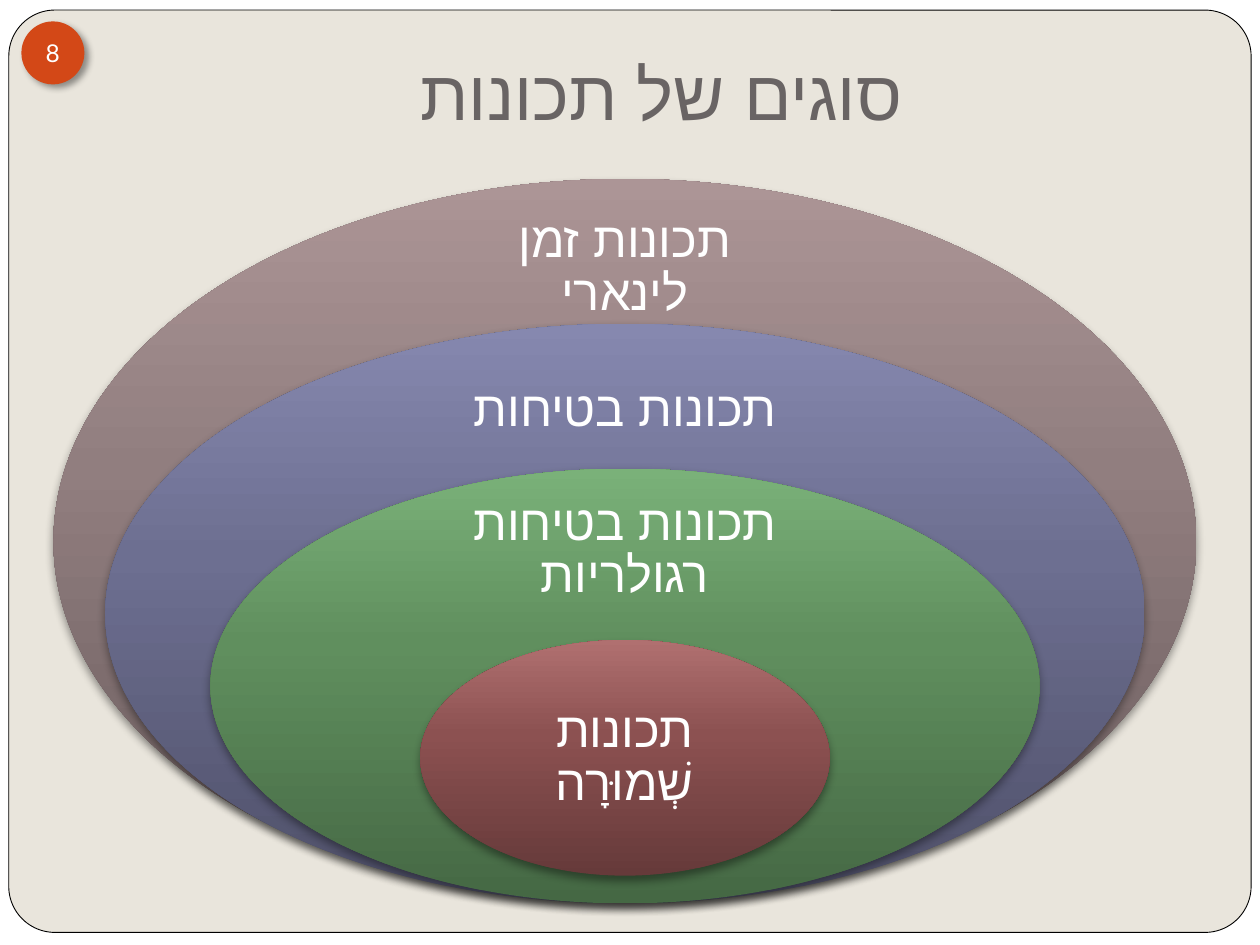
from lxml.etree import SubElement
from pptx import Presentation
from pptx.dml.color import RGBColor
from pptx.enum.shapes import MSO_SHAPE
from pptx.enum.text import MSO_ANCHOR, PP_ALIGN
from pptx.oxml.ns import qn
from pptx.util import Inches, Pt

WIDTH, HEIGHT = 10, 7.5
PAPER, WHITE, ORANGE, GREY = "E9E5DC", "FFFFFF", "D34817", "696464"
RING_CENTER = 4.96

# Ellipse width, top, height; gradient from bottom to top; label, its top, width, height
RINGS = [
    (9.07, 1.42, 5.75, ("695B5C", "917E7F", "AC9596"),
     "תכונות זמן לינארי", 1.7, 2.53, 0.86),
    (8.25, 2.57, 4.6, ("4F5069", "6D6F91", "8688AF"),
     "תכונות בטיחות", 2.84, 2.88, 0.83),
    (6.58, 3.72, 3.45, ("456844", "608F5E", "7AB179"),
     "תכונות בטיחות רגולריות", 3.98, 3.07, 0.78),
    (3.25, 5.08, 1.87, ("663A3A", "8C5151", "B07070"),
     "תכונות שְׁמוּרָה", 5.55, 2.3, 0.93),
]


def color(hex_code):
    return RGBColor.from_string(hex_code)


def add_figure(slide, preset, box, fill=None):
    figure = slide.shapes.add_shape(preset, *map(Inches, box))
    figure.shadow.inherit = False
    figure.line.fill.background()
    if fill:
        figure.fill.solid()
        figure.fill.fore_color.rgb = color(fill)
    return figure


def add_shadow(figure, blur, distance, degrees):
    effects = figure._element.spPr.find(qn("a:effectLst"))
    shadow = SubElement(effects, qn("a:outerShdw"), blurRad=str(Pt(blur)),
                        dist=str(Pt(distance)), dir=str(degrees * 60000),
                        algn="ctr", rotWithShape="0")
    black = SubElement(shadow, qn("a:srgbClr"), val="000000")
    SubElement(black, qn("a:alpha"), val="40000")


def fill_upward(figure, colors):
    figure.fill.gradient()
    figure.fill.gradient_angle = 90
    stops = figure._element.spPr.find(qn("a:gradFill")).find(qn("a:gsLst"))
    for old_stop in list(stops):
        stops.remove(old_stop)
    for position, hex_code in zip((0, 60, 100), colors):
        stop = SubElement(stops, qn("a:gs"), pos=str(position * 1000))
        SubElement(stop, qn("a:srgbClr"), val=hex_code)


def write(frame, words, size, hex_code, font="Arial", anchor=MSO_ANCHOR.MIDDLE,
          insets=(0, 0, 0, 0), rtl=True, wrap=True, spacing=None):
    frame.word_wrap = wrap
    frame.vertical_anchor = anchor
    (frame.margin_left, frame.margin_top,
     frame.margin_right, frame.margin_bottom) = map(Inches, insets)
    paragraph = frame.paragraphs[0]
    paragraph.alignment = PP_ALIGN.CENTER
    if spacing:
        paragraph.line_spacing = spacing
    run = paragraph.add_run()
    run.text = words
    run.font.size = Pt(size)
    run.font.name = font
    run.font.color.rgb = color(hex_code)
    if rtl:
        paragraph._p.get_or_add_pPr().set("rtl", "1")
        SubElement(run._r.get_or_add_rPr(), qn("a:cs"), typeface=font)


def add_label(slide, box, words, size, hex_code, **layout):
    label = slide.shapes.add_textbox(*map(Inches, box))
    write(label.text_frame, words, size, hex_code, **layout)


def add_ring(slide, ring):
    width, top, height, colors, words, label_top, label_width, label_height = ring
    ellipse = add_figure(slide, MSO_SHAPE.OVAL,
                         (RING_CENTER - width / 2, top, width, height))
    fill_upward(ellipse, colors)
    add_shadow(ellipse, 5.2, 3, 90)
    add_label(slide, (RING_CENTER - label_width / 2, label_top, label_width, label_height),
              words, 28, WHITE, insets=(0.22,) * 4, spacing=0.9)


def main():
    deck = Presentation()
    deck.slide_width, deck.slide_height = Inches(WIDTH), Inches(HEIGHT)
    slide = deck.slides.add_slide(deck.slide_layouts[6])

    # Backdrop: white edge around a rounded sheet
    slide.background.fill.solid()
    slide.background.fill.fore_color.rgb = color(PAPER)
    add_figure(slide, MSO_SHAPE.RECTANGLE, (0, 0, WIDTH, HEIGHT), WHITE)
    sheet = add_figure(slide, MSO_SHAPE.ROUNDED_RECTANGLE,
                       (0.07, 0.08, 9.86, 7.32), PAPER)
    sheet.adjustments[0] = 0.05
    sheet.line.color.rgb = color("000000")
    sheet.line.width = Pt(0.5)

    # Title
    add_label(slide, (1, -0.08, 8.5, 1.25), "סוגים של תכונות", 40, GREY,
              anchor=MSO_ANCHOR.BOTTOM, insets=(0.1, 0.05, 0.1, 0.1))

    # Page number badge
    badge = add_figure(slide, MSO_SHAPE.OVAL, (0.17, 0.17, 0.5, 0.5), ORANGE)
    add_shadow(badge, 4, 3, 45)
    write(badge.text_frame, "8", 14, WHITE, font="Lato", rtl=False, wrap=False)

    # Nested classes of properties, outermost first
    for ring in RINGS:
        add_ring(slide, ring)

    deck.save("out.pptx")


if __name__ == "__main__":
    main()
